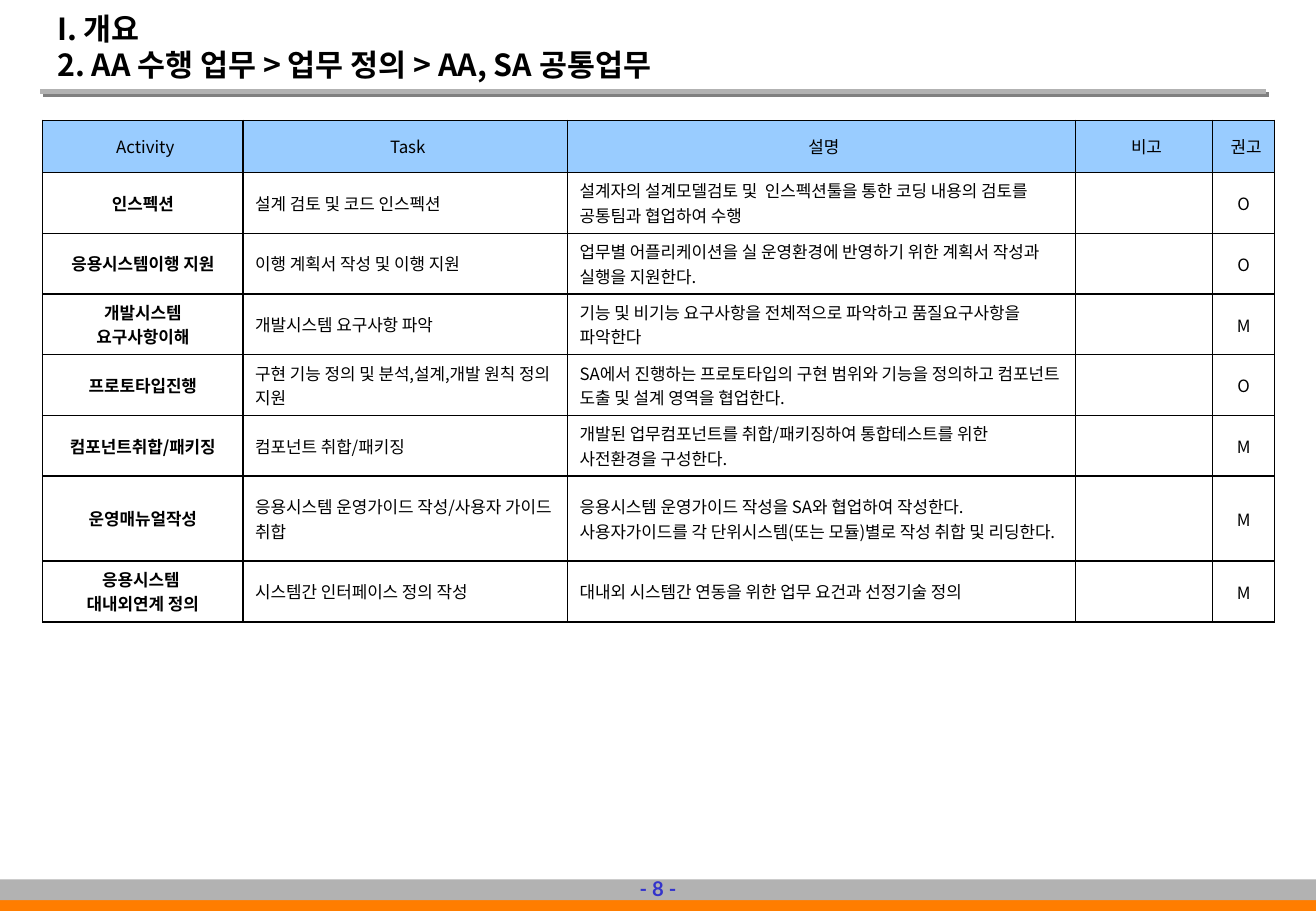
import copy
from dataclasses import dataclass

import lxml.etree
import pptx
import pptx.dml.color
import pptx.enum.shapes
import pptx.enum.text
import pptx.oxml.ns
import pptx.util

Inches = pptx.util.Inches
Pt = pptx.util.Pt
qn = pptx.oxml.ns.qn
ALIGN = pptx.enum.text.PP_ALIGN
ANCHOR = pptx.enum.text.MSO_ANCHOR

KOREAN = "Noto Sans CJK KR"
SLIDE_W, SLIDE_H = 10.83, 7.5
HEADERS = ["Activity", "Task", "설명", "비고", "권고"]
COL_WIDTHS = [1.65, 2.67, 4.18, 1.13, 0.51]


@dataclass
class Activity:
    name: str
    task: str
    description: str
    grade: str
    height: float = 0.5


@dataclass
class Band:
    top: float
    height: float
    color: str


ACTIVITIES = [
    Activity("인스펙션", "설계 검토 및 코드 인스펙션",
             "설계자의 설계모델검토 및  인스펙션툴을 통한 코딩 내용의 검토를 공통팀과 협업하여 수행", "O"),
    Activity("응용시스템이행 지원", "이행 계획서 작성 및 이행 지원",
             "업무별 어플리케이션을 실 운영환경에 반영하기 위한 계획서 작성과 실행을 지원한다.", "O"),
    Activity("개발시스템\n요구사항이해", "개발시스템 요구사항 파악",
             "기능 및 비기능 요구사항을 전체적으로 파악하고 품질요구사항을 파악한다", "M"),
    Activity("프로토타입진행", "구현 기능 정의 및 분석,설계,개발 원칙 정의 지원",
             "SA에서 진행하는 프로토타입의 구현 범위와 기능을 정의하고 컴포넌트 도출 및 설계 영역을 협업한다.", "O"),
    Activity("컴포넌트취합/패키징", "컴포넌트 취합/패키징",
             "개발된 업무컴포넌트를 취합/패키징하여 통합테스트를 위한 사전환경을 구성한다.", "M"),
    Activity("운영매뉴얼작성", "응용시스템 운영가이드 작성/사용자 가이드 취합",
             "응용시스템 운영가이드 작성을 SA와 협업하여 작성한다.\v"
             "사용자가이드를 각 단위시스템(또는 모듈)별로 작성 취합 및 리딩한다.", "M", 0.7),
    Activity("응용시스템 \n대내외연계 정의", "시스템간 인터페이스 정의 작성",
             "대내외 시스템간 연동을 위한 업무 요건과 선정기술 정의", "M"),
]
BANDS = [Band(7.34, 0.16, "FF7D00"), Band(7.24, 0.17, "B2B2B2")]


def rgb(color: str) -> pptx.dml.color.RGBColor:
    return pptx.dml.color.RGBColor.from_string(color)


def write(tf, text: str, *, size: float = 10, font: str = KOREAN, color: str = "000000",
          bold: bool = False, align=ALIGN.LEFT, indent: float = 0) -> None:
    tf.text = text
    for p in tf.paragraphs:
        p.alignment = align
        p.line_spacing = 1.0
        if indent:
            p._p.get_or_add_pPr().set("marL", str(Inches(indent)))
        for r in p.runs:
            r.font.size, r.font.name, r.font.bold = Pt(size), font, bold
            r.font.color.rgb = rgb(color)
            r._r.rPr.set("kern", "0")
            lxml.etree.SubElement(r._r.rPr, qn("a:ea"), typeface=font)
        for br in p._p.findall(qn("a:br")):
            br.append(copy.deepcopy(p.runs[0]._r.rPr))


def set_margins(box, left: float, top: float, right: float, bottom: float) -> None:
    box.margin_left, box.margin_top = Inches(left), Inches(top)
    box.margin_right, box.margin_bottom = Inches(right), Inches(bottom)


def set_borders(cell, color: str, width: float) -> None:
    tcPr = cell._tc.get_or_add_tcPr()
    for i, side in enumerate(("a:lnL", "a:lnR", "a:lnT", "a:lnB")):
        ln = lxml.etree.Element(qn(side), w=str(Pt(width)))
        fill = lxml.etree.SubElement(ln, qn("a:solidFill"))
        lxml.etree.SubElement(fill, qn("a:srgbClr"), val=color)
        tcPr.insert(i, ln)


def add_title(s) -> None:
    sp = s.shapes.title
    sp.left, sp.top, sp.width, sp.height = map(Inches, (0.37, 0.23, 8.06, 0.5))
    tf = sp.text_frame
    tf.auto_size = pptx.enum.text.MSO_AUTO_SIZE.NONE
    tf.vertical_anchor = ANCHOR.BOTTOM
    write(tf, "I. 개요\v2. AA 수행 업무 > 업무 정의 > AA, SA 공통업무", size=18, bold=True)


def add_title_rule(s) -> None:
    line = s.shapes.add_connector(pptx.enum.shapes.MSO_CONNECTOR.STRAIGHT,
                                  Inches(0.33), Inches(0.75), Inches(10.42), Inches(0.75))
    line.line.color.rgb = rgb("B2B2B2")
    line.line.width = Pt(3)
    effects = lxml.etree.SubElement(line._element.spPr, qn("a:effectLst"))
    shadow = lxml.etree.SubElement(effects, qn("a:outerShdw"), blurRad="0",
                                   dist=str(Pt(2.8)), dir="2700000", algn="ctr", rotWithShape="0")
    lxml.etree.SubElement(shadow, qn("a:srgbClr"), val="808080")


def add_footer(s) -> None:
    for band in BANDS:
        sp = s.shapes.add_shape(pptx.enum.shapes.MSO_SHAPE.RECTANGLE, 0, Inches(band.top),
                                Inches(SLIDE_W), Inches(band.height))
        sp.shadow.inherit = False
        sp.fill.solid()
        sp.fill.fore_color.rgb = rgb(band.color)
        sp.line.fill.background()
    tf = s.shapes.add_textbox(Inches(5.12), Inches(7.16), Inches(0.59), Inches(0.31)).text_frame
    tf.word_wrap = False
    tf.vertical_anchor = ANCHOR.MIDDLE
    set_margins(tf, 0.06, 0.06, 0.06, 0.06)
    write(tf, "- 8 -", size=12, font="Lato", color="3333CC", bold=True, align=ALIGN.CENTER)


def add_activity_table(s) -> None:
    heights = [0.43] + [a.height for a in ACTIVITIES]
    table = s.shapes.add_table(len(heights), len(HEADERS), Inches(0.35), Inches(0.99),
                               Inches(sum(COL_WIDTHS)), Inches(sum(heights))).table
    table.first_row = table.horz_banding = False
    for col, width in zip(table.columns, COL_WIDTHS):
        col.width = Inches(width)
    rows = [HEADERS] + [[a.name, a.task, a.description, "", a.grade] for a in ACTIVITIES]
    for i, texts in enumerate(rows):
        table.rows[i].height = Inches(heights[i])
        for j, text in enumerate(texts):
            cell = table.cell(i, j)
            header = i == 0
            cell.vertical_anchor = ANCHOR.MIDDLE
            if header:
                cell.fill.solid()
                cell.fill.fore_color.rgb = rgb("99CCFF")
            else:
                cell.fill.background()
            if j == 4 and not header:
                set_margins(cell, 0.01, 0.01, 0.01, 0)
            else:
                set_margins(cell, 0.1, 0.05, 0.1, 0.05)
            set_borders(cell, "000000", 1)
            write(cell.text_frame, text, bold=j == 0 and not header,
                  align=ALIGN.CENTER if header or j in (0, 4) else ALIGN.LEFT,
                  indent=0.04 if header else 0)


def main() -> None:
    prs = pptx.Presentation()
    prs.slide_width, prs.slide_height = Inches(SLIDE_W), Inches(SLIDE_H)
    s = prs.slides.add_slide(prs.slide_layouts[5])
    add_title_rule(s)
    add_footer(s)
    add_activity_table(s)
    add_title(s)
    prs.save("out.pptx")


if __name__ == "__main__":
    main()
